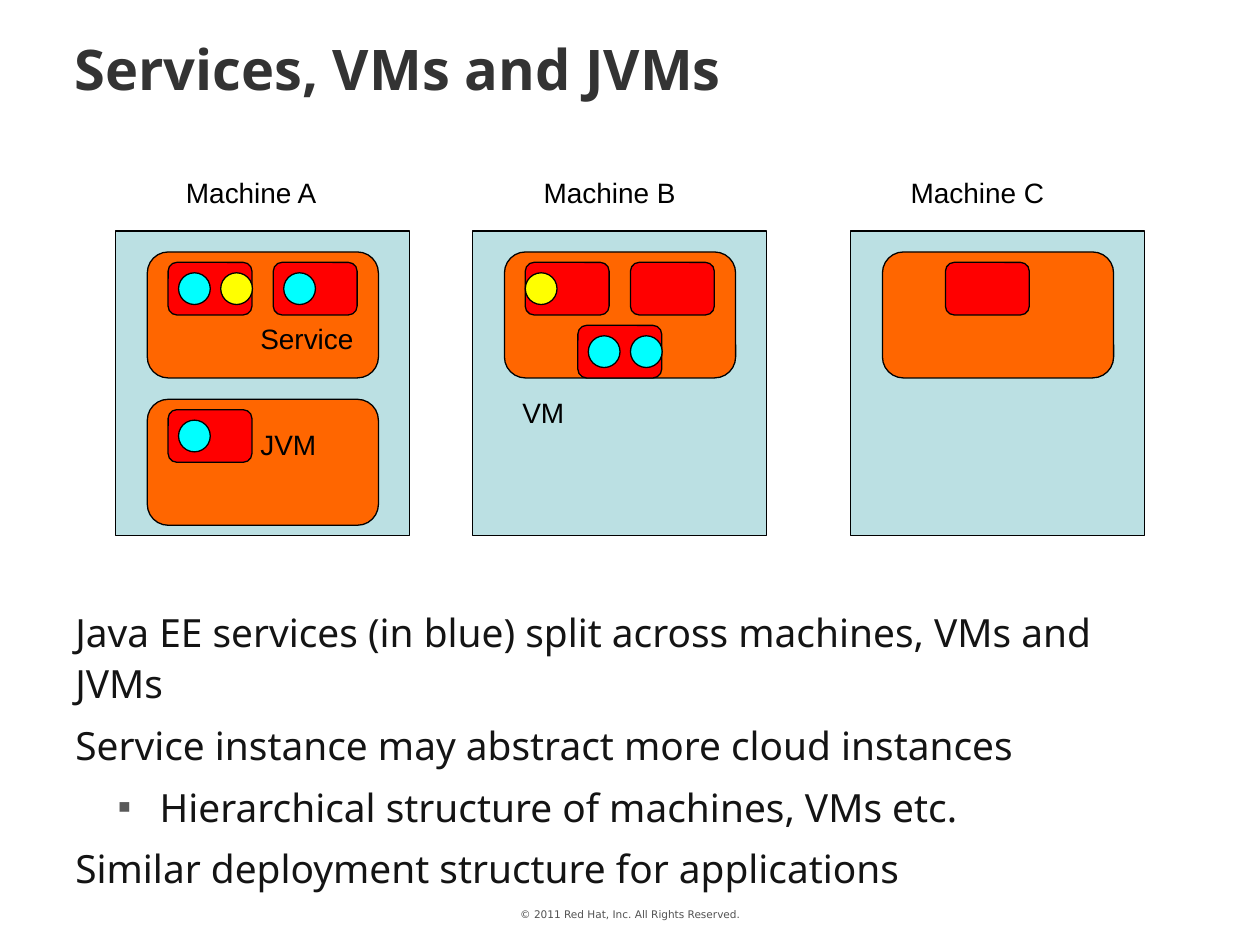
from lxml import etree
from pptx import Presentation
from pptx.dml.color import RGBColor
from pptx.enum import shapes, text
from pptx.oxml.ns import qn
from pptx.util import Cm, Pt

COLORS = {
    "machine": "BBE0E3", "vm": "FF6600", "jvm": "FF0000",
    "blue": "00FFFF", "yellow": "FFFF00", "line": "000000",
    "title": "333333", "body": "141414", "bullet": "595959", "foot": "525252",
}

TITLE = "Services, VMs and JVMs"
FOOT = "© 2011 Red Hat, Inc. All Rights Reserved."
BODY = [  # level, text
    (0, "Java EE services (in blue) split across machines, VMs and JVMs"),
    (0, "Service instance may abstract more cloud instances"),
    (1, "Hierarchical structure of machines, VMs etc."),
    (0, "Similar deployment structure for applications"),
]

# All lengths in cm. Each machine: left, list of VMs.
# A VM is a list of JVMs: x, y within the VM, and services (x, colour).
PAD = 0.21
LOW = 1.48
MACHINES = [
    (2.33, [
        [(0.42, PAD, [(PAD, "blue"), (1.06, "yellow")]),
         (2.54, PAD, [(PAD, "blue")])],
        [(0.42, PAD, [(PAD, "blue")])],
    ]),
    (9.53, [
        [(0.42, PAD, [(0, "yellow")]),
         (2.54, PAD, []),
         (LOW, LOW, [(PAD, "blue"), (1.06, "blue")])],
    ]),
    (17.15, [[(1.27, PAD, [])]]),
]
LABELS = [  # text, left, top, width
    ("Machine A", 3.6, 3.38, 3.05),
    ("Machine B", 10.81, 3.38, 3.05),
    ("Machine C", 18.21, 3.38, 3.1),
    ("VM", 10.38, 7.83, 1.24),
    ("JVM", 5.1, 8.46, 1.52),
    ("Service", 5.1, 6.34, 2.29),
]
TOP, VM_X, VM_Y, VM_STEP = 4.66, 0.64, 0.42, 2.97
SIZES = {"machine": (5.93, 6.14), "vm": (4.66, 2.54),
         "jvm": (1.69, 1.06), "service": (0.64, 0.64)}

prs = Presentation()
prs.slide_width, prs.slide_height = Cm(25.4), Cm(19.05)
slide = prs.slides.add_slide(prs.slide_layouts[6])
KIND = shapes.MSO_SHAPE


def rgb(name):
    return RGBColor.from_string(COLORS[name])


def draw(kind, size, x, y, color):
    shape = slide.shapes.add_shape(kind, Cm(x), Cm(y), *map(Cm, SIZES[size]))
    shape.shadow.inherit = False
    shape.fill.solid()
    shape.fill.fore_color.rgb = rgb(color)
    shape.line.color.rgb = rgb("line")
    shape.line.width = Pt(0.75)


def add_box(x, y, w, h, pads=(0.1, 0.1, 0.1, 0.1)):
    frame = slide.shapes.add_textbox(Cm(x), Cm(y), Cm(w), Cm(h)).text_frame
    frame.word_wrap = True
    (frame.margin_left, frame.margin_top,
     frame.margin_right, frame.margin_bottom) = map(Cm, pads)
    return frame


def style(para, words, size, font, color, bold=False):
    para.text = words
    para.font.size, para.font.name, para.font.bold = Pt(size), font, bold
    para.font.color.rgb = rgb(color)


def add_bullet(para):
    props = para._p.get_or_add_pPr()
    props.set("marL", str(Cm(1.7)))
    props.set("indent", str(Cm(-0.85)))
    tint = etree.SubElement(props, qn("a:buClr"))
    etree.SubElement(tint, qn("a:srgbClr"), val=COLORS["bullet"])
    etree.SubElement(props, qn("a:buFont"), typeface="Arial")
    etree.SubElement(props, qn("a:buChar"), char="▪")


para = add_box(1.4, 0.86, 22.6, 1.42).paragraphs[0]
para.line_spacing = 0.8
style(para, TITLE, 32, "Noto Sans", "title", True)

frame = add_box(1.42, 12.07, 22.6, 5.4)
for i, (level, words) in enumerate(BODY):
    para = frame.add_paragraph() if i else frame.paragraphs[0]
    para.line_spacing = 1.1
    if i:
        para.space_before = Pt(6)
    if level:
        para.level = level
        add_bullet(para)
    style(para, words, 22.2, "Noto Sans", "body")

for left, vms in MACHINES:
    draw(KIND.RECTANGLE, "machine", left, TOP, "machine")
    for row, jvms in enumerate(vms):
        vx, vy = left + VM_X, TOP + VM_Y + row * VM_STEP
        draw(KIND.ROUNDED_RECTANGLE, "vm", vx, vy, "vm")
        for jx, jy, items in jvms:
            draw(KIND.ROUNDED_RECTANGLE, "jvm", vx + jx, vy + jy, "jvm")
            for sx, color in items:
                draw(KIND.OVAL, "service", vx + jx + sx, vy + jy + PAD, color)

for words, x, y, w in LABELS:
    frame = add_box(x, y, w, 0.97, (0.15, 0.15, 0, 0.15))
    style(frame.paragraphs[0], words, 16, "Arial", "line")

para = add_box(8.13, 18.21, 9.14, 0.46).paragraphs[0]
para.alignment = text.PP_ALIGN.CENTER
style(para, FOOT, 6, "DejaVu Sans", "foot")

prs.save("out.pptx")
